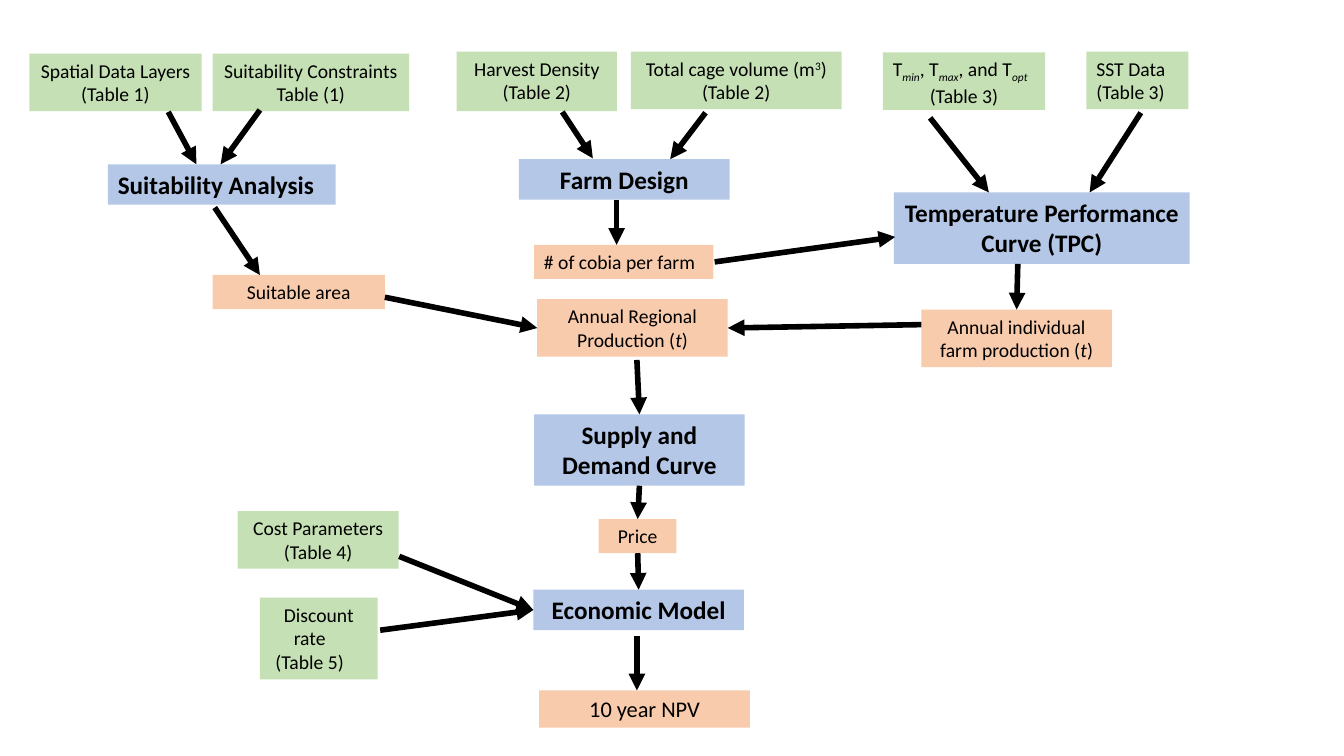
import pptx
import pptx.util
import pptx.dml.color
import pptx.enum.shapes
import pptx.enum.text
import pptx.oxml.ns
import pptx.oxml.xmlchemy

Cm = pptx.util.Cm
Pt = pptx.util.Pt
RGBColor = pptx.dml.color.RGBColor
ALIGN = pptx.enum.text.PP_ALIGN
OxmlElement = pptx.oxml.xmlchemy.OxmlElement

BLACK = RGBColor(0x00, 0x00, 0x00)
BLUE = RGBColor(0xB4, 0xC7, 0xE7)
GREEN = RGBColor(0xC5, 0xE0, 0xB4)
ORANGE = RGBColor(0xF8, 0xCB, 0xAD)

TOP, LEFT, BOTTOM, RIGHT = range(4)
ALIGNMENTS = {"l": ALIGN.LEFT, "c": ALIGN.CENTER}
BASELINES = {"sup": "30000", "sub": "-25000"}

prs = pptx.Presentation()
prs.slide_width = Cm(33.87)
prs.slide_height = Cm(19.05)
s = prs.slides.add_slide(prs.slide_layouts[6])

boxes = [
    ("suitability", BLUE, 18, (2.72, 4.14, 5.74, 1.02), "l", ["Suitability Analysis"]),
    ("layers", GREEN, 14, (0.74, 1.35, 4.34, 1.45), "cc", ["Spatial Data Layers", "(Table 1)"]),
    ("constraints", GREEN, 14, (5.36, 1.35, 4.95, 1.45), "cc", ["Suitability Constraints", "Table (1)"]),
    ("area", ORANGE, 14, (5.36, 6.93, 4.34, 0.86), "c", ["Suitable area"]),
    ("farm", BLUE, 18, (13.08, 4.01, 5.31, 1.02), "c", ["Farm Design"]),
    ("density", GREEN, 14, (11.51, 1.3, 4.04, 1.5), "cc", ["Harvest Density", "(Table 2)"]),
    ("volume", GREEN, 14, (15.9, 1.3, 5.31, 1.45), "cc",
     [[("Total cage volume (m", ""), ("3", "sup"), (")", "")], "(Table 2)"]),
    ("cobia", ORANGE, 14, (13.46, 6.17, 4.52, 0.86), "l", ["# of cobia per farm"]),
    ("tpc", BLUE, 18, (22.53, 4.85, 7.45, 1.8), "c", ["Temperature Performance Curve (TPC)"]),
    ("temperatures", GREEN, 14, (22.25, 1.32, 4.09, 1.45), "lc",
     [[("T", ""), ("min", "sub"), (", T", ""), ("max", "sub"), (", and T", ""), ("opt", "sub")],
      "(Table 3)"]),
    ("supply", BLUE, 18, (13.46, 10.44, 5.31, 1.8), "c", ["Supply and Demand Curve"]),
    ("price", ORANGE, 14, (15.09, 13.08, 1.96, 0.86), "c", ["Price"]),
    ("individual", ORANGE, 14, (23.22, 7.8, 4.8, 1.45), "c",
     [[("Annual individual farm production (", ""), ("t", "i"), (")", "")]]),
    ("sst", GREEN, 14, (27.38, 1.3, 2.57, 1.45), "ll", ["SST Data", "(Table 3)"]),
    ("cost", GREEN, 14, (5.99, 12.88, 4.06, 1.45), "cc", ["Cost Parameters", "(Table 4)"]),
    ("economic", BLUE, 18, (13.44, 14.86, 5.31, 1.02), "c", ["Economic Model"]),
    ("discount", GREEN, 14, (6.55, 15.06, 2.97, 2.06), "ccc", ["Discount", "rate", "(Table 5)"]),
    ("npv", ORANGE, 16, (13.59, 17.4, 5.31, 0.94), "c", ["10 year NPV"]),
    ("regional", ORANGE, 14, (13.54, 7.54, 4.8, 1.45), "c",
     [[("Annual Regional Production (", ""), ("t", "i"), (")", "")]]),
]

shapes = {}
for name, color, size, place, aligns, paragraphs in boxes:
    sp = s.shapes.add_textbox(*[Cm(v) for v in place])
    shapes[name] = sp
    sp.fill.solid()
    sp.fill.fore_color.rgb = color
    tf = sp.text_frame
    tf.word_wrap = True
    tf.auto_size = pptx.enum.text.MSO_AUTO_SIZE.SHAPE_TO_FIT_TEXT
    for i, runs in enumerate(paragraphs):
        p = tf.paragraphs[0] if i == 0 else tf.add_paragraph()
        p.alignment = ALIGNMENTS[aligns[i]]
        if isinstance(runs, str):
            runs = [(runs, "")]
        for text, style in runs:
            r = p.add_run()
            r.text = text
            r.font.name = "Calibri"
            r.font.size = Pt(size)
            r.font.bold = color == BLUE
            r.font.italic = style in ("i", "sub")
            r.font.color.rgb = BLACK
            if style in BASELINES:
                r._r.get_or_add_rPr().set("baseline", BASELINES[style])

rate = shapes["discount"].text_frame.paragraphs[1]
rate._p.get_or_add_pPr().set("marR", str(int(Cm(0.46))))

arrows = [
    ((4.24, 2.82), (4.95, 4.14)),
    ((6.55, 2.77), (5.56, 4.14)),
    ((17.78, 2.84), (16.89, 4.01)),
    ((14.17, 2.82), (14.94, 3.99)),
    ((23.44, 2.97), (24.92, 4.85)),
    ((28.75, 2.84), (27.46, 4.85)),
    ((18.01, 6.6), (22.56, 5.97)),
    ((25.65, 6.65), ("individual", TOP)),
    ((9.7, 7.49), ("regional", LEFT)),
    ((23.22, 8.18), ("regional", RIGHT)),
    ((16.05, 9.07), ("supply", TOP)),
    (("supply", BOTTOM), ("price", TOP)),
    (("price", BOTTOM), ("economic", TOP)),
    ((16.05, 16.03), (16.05, 17.4)),
    ((10.06, 14.02), ("economic", LEFT)),
    ((9.58, 15.88), ("economic", LEFT)),
    ((5.41, 5.23), (6.55, 6.93)),
    ((15.54, 5.05), (15.54, 6.17)),
]

for start, end in arrows:
    c = s.shapes.add_connector(pptx.enum.shapes.MSO_CONNECTOR.STRAIGHT, 0, 0, 0, 0)
    if start[0] in shapes:
        c.begin_connect(shapes[start[0]], start[1])
    else:
        c.begin_x, c.begin_y = Cm(start[0]), Cm(start[1])
    if end[0] in shapes:
        c.end_connect(shapes[end[0]], end[1])
    else:
        c.end_x, c.end_y = Cm(end[0]), Cm(end[1])
    c.line.color.rgb = BLACK
    c.line.width = Pt(4)
    head = OxmlElement("a:tailEnd")
    head.set("type", "triangle")
    spPr = c._element.spPr
    spPr.find(pptx.oxml.ns.qn("a:ln")).append(head)
    spPr.append(OxmlElement("a:effectLst"))

prs.save("out.pptx")
